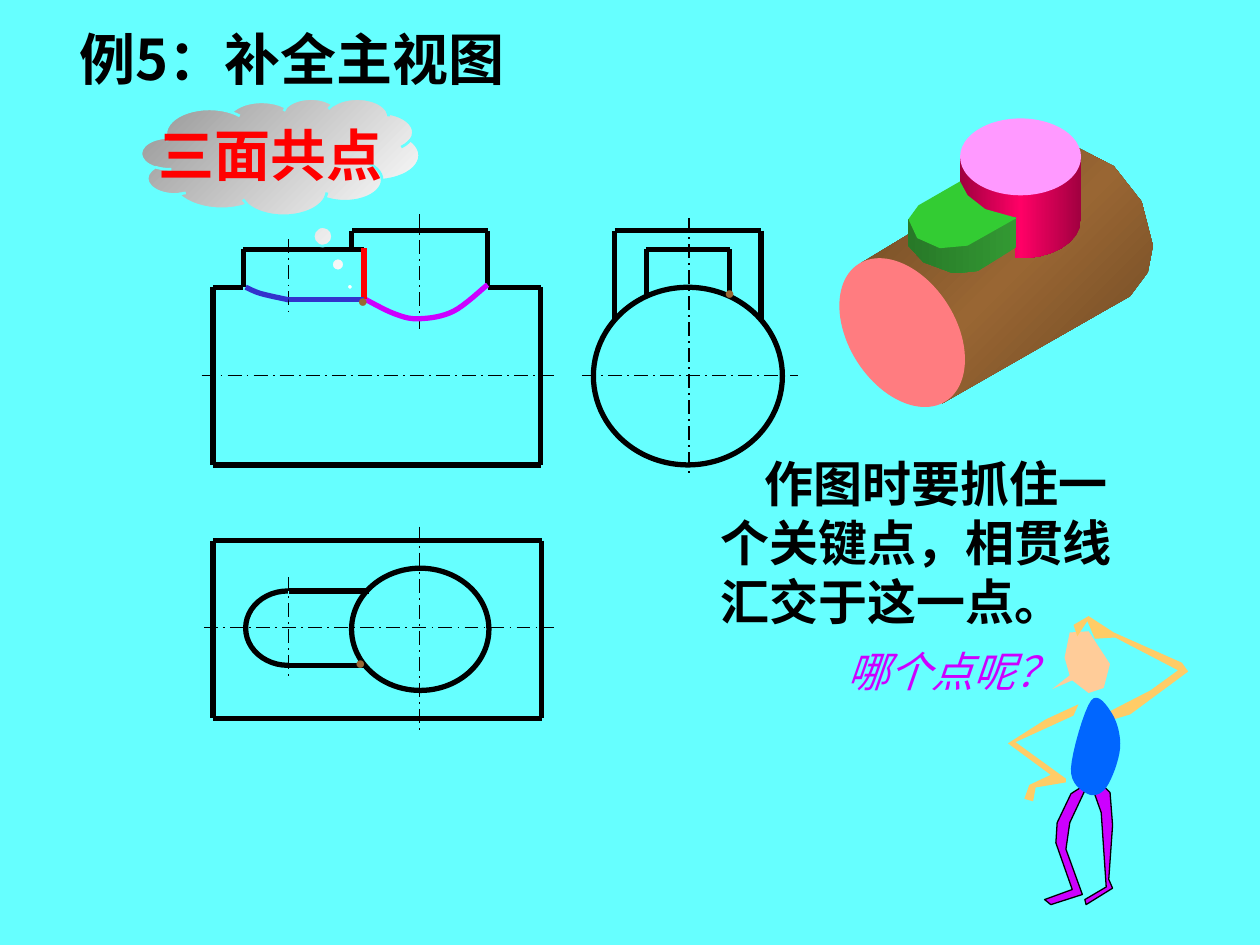
from copy import deepcopy
from dataclasses import dataclass
from math import cos, radians, sin

from lxml.etree import SubElement
from pptx import Presentation
from pptx.dml.color import RGBColor
from pptx.enum.dml import MSO_LINE
from pptx.enum.shapes import MSO_CONNECTOR, MSO_SHAPE
from pptx.enum.text import MSO_ANCHOR, MSO_AUTO_SIZE, PP_ALIGN
from pptx.oxml.ns import qn
from pptx.util import Pt

PX = 9144  # one px is a hundredth of an inch


@dataclass(frozen=True)
class Theme:
    sky: str = "66FFFF"
    ink: str = "000000"
    red: str = "FF0000"
    blue: str = "3333CC"
    purple: str = "CC00FF"
    brown: str = "996633"
    skin: str = "FFCC66"
    face: str = "FFCC99"
    shirt: str = "0066FF"
    cylinder_end: str = "FF7C80"
    boss_top: str = "FF99FF"
    slab_top: str = "33CC33"
    cloud: tuple = ("FFFFFF", "959595")
    boss_side: tuple = ("A10040", "FF0066", "A10040")
    cylinder_side: tuple = ("6B4723", "996633", "6B4723")
    slab_side: tuple = ("339933", "287928")
    cjk: str = "Noto Sans CJK SC"
    latin: str = "Times New Roman"
    heading: int = 32
    body: int = 28
    question: int = 24
    dot: int = 10
    thin: float = 1
    thick: float = 3


T = Theme()

# Three views
HORIZONTAL_AXES = [(298, 160, 441), (298, 462, 633), (498, 162, 440)]  # y, from x, to x
VERTICAL_AXES = [(547, 173, 377), (333, 418, 581), (333, 170, 261),
                 (229, 458, 540), (229, 190, 247)]  # x, from y, to y
TOP_FRAME = (169, 429, 430, 570)  # left, top, right, bottom
SIDE_FRAMES = [(488, 183, 604, 254), (513, 198, 579, 235)]
FRONT_OUTLINE = [(289, 198), (193, 198), (193, 228), (169, 228), (169, 369), (429, 369),
                 (429, 228), (387, 228), (387, 183), (279, 183), (279, 198)]
SLOT_SIDES = [[(229, 469), (293, 469)], [(229, 528), (290, 528)]]
CIRCLES = [(471, 228, 150, 141), (279, 451, 109, 97)]
CURVES = [(T.purple, [(387, 226), (360, 247), (333, 253), (313, 249), (287, 236)]),
          (T.blue, [(195, 228), (207, 233), (229, 238)])]
MEETING_LINES = [(T.red, [(289, 237), (289, 197)]), (T.blue, [(229, 238), (289, 238)])]
DOTS = [(274, 225), (272, 512), (565, 219)]

# Thinking figure: points, fill, line, smooth
FIGURE = [
    ([(830, 571), (856, 559), (852, 568), (806, 589), (846, 618), (846, 621), (822, 625),
      (820, 636), (813, 634), (817, 623), (834, 615), (800, 590)], T.skin, None, False),
    ([(868, 628), (873, 621), (881, 629), (883, 655), (880, 698), (883, 705), (862, 718),
      (861, 714), (878, 704), (874, 645)], T.purple, T.ink, False),
    ([(850, 630), (864, 621), (849, 653), (846, 674), (859, 710), (834, 718), (829, 714),
      (851, 706), (838, 669), (839, 653)], T.purple, T.ink, False),
    ([(864, 550), (876, 546), (881, 527), (864, 501), (849, 502), (845, 522), (849, 536),
      (835, 547), (851, 540)], T.face, None, False),
    ([(913, 548), (878, 566), (877, 573), (897, 567), (943, 533), (938, 526), (884, 502),
      (864, 489), (852, 496), (855, 505), (863, 493), (869, 507), (885, 506), (935, 532)],
     T.skin, None, False),
    ([(866, 556), (883, 567), (889, 594), (878, 625), (863, 630), (850, 610)],
     T.shirt, None, True)]


def arc(box, start, end, steps=8):
    """Points on the ellipse inside left, top, width, height."""
    left, top, width, height = box
    angles = [radians(start + (end - start) * i / steps) for i in range(steps + 1)]
    return [(left + width * (1 + cos(a)) / 2, top + height * (1 + sin(a)) / 2) for a in angles]


# Solid model: points, fill, gradient angle
BOSS_TOP = (762, 94, 96, 61)
END_FACE = (652, 222, 128, 84)
SOLID_SIDES = [
    ([(721, 186), (683, 209), (748, 320), (897, 235), (911, 216), (915, 195), (906, 160),
      (884, 132), (857, 118)], T.cylinder_side, 135),
    ([(858, 124)] + arc((762, 144, 96, 61), 0, 95)
     + [(806, 174), (784, 168), (762, 154), (762, 124)], T.boss_side, 180)]
SLAB = [
    ([(721, 174), (721, 195), (733, 208), (757, 217), (776, 215), (807, 196), (807, 172)],
     T.slab_side, 180),
    ([(762, 144), (729, 163), (721, 174), (728, 189), (746, 197), (768, 195), (807, 173),
      (782, 166), (768, 155)], T.slab_top, 0)]


def smooth_points(points, closed=False, steps=8):
    """Points on a soft curve that passes through every given point."""
    count = len(points)

    def pick(i):
        return points[i % count] if closed else points[min(max(i, 0), count - 1)]

    result = [points[0]]
    for i in range(count if closed else count - 1):
        for t in (step / steps for step in range(1, steps + 1)):
            result.append(tuple(
                b + t * (c - a) / 2 + t * t * (2 * a - 5 * b + 4 * c - d) / 2
                + t ** 3 * (3 * b - a - 3 * c + d) / 2
                for a, b, c, d in zip(*(pick(i + shift) for shift in (-1, 0, 1, 2)))))
    return result


def paint(shape, fill=None, line=None, width=0.75, angle=0):
    """Fill with nothing, one colour, or a tuple of gradient colours."""
    shape.shadow.inherit = False
    if fill is None:
        shape.fill.background()
    elif isinstance(fill, str):
        shape.fill.solid()
        shape.fill.fore_color.rgb = RGBColor.from_string(fill)
    else:
        shape.fill.gradient()
        shape.fill.gradient_angle = angle
        stop_list = next(shape._element.iter(qn("a:gsLst")))
        for _ in fill[2:]:
            stop_list.append(deepcopy(stop_list[-1]))
        for index, (stop, color) in enumerate(zip(shape.fill.gradient_stops, fill)):
            stop.position = index / (len(fill) - 1)
            stop.color.rgb = RGBColor.from_string(color)
    if line:
        shape.line.color.rgb = RGBColor.from_string(line)
        shape.line.width = Pt(width)
    else:
        shape.line.fill.background()


def add_preset(shapes, kind, box, **look):
    shape = shapes.add_shape(kind, *(value * PX for value in box))
    paint(shape, **look)
    return shape


def add_outline(shapes, points, close=True, **look):
    corners = [(round(x * PX), round(y * PX)) for x, y in points]
    builder = shapes.build_freeform(*corners[0], scale=1.0)
    builder.add_line_segments(corners[1:], close=close)
    paint(builder.convert_to_shape(), **look)


def add_lines(shapes, points, color=T.ink, width=T.thick, dashed=False):
    for start, end in zip(points, points[1:]):
        line = shapes.add_connector(MSO_CONNECTOR.STRAIGHT, *(v * PX for v in start + end))
        line.line.color.rgb = RGBColor.from_string(color)
        line.line.width = Pt(width)
        if dashed:
            line.line.dash_style = MSO_LINE.LONG_DASH_DOT
        SubElement(line._element.spPr, qn("a:effectLst"))


def write(shape, text, size, color, font=T.cjk, bold=False, wrap=False, align=PP_ALIGN.LEFT):
    frame = shape.text_frame
    frame.text = text
    frame.word_wrap = wrap
    frame.vertical_anchor = MSO_ANCHOR.MIDDLE
    para = frame.paragraphs[0]
    para.alignment = align
    span = para.runs[0]
    span.font.size, span.font.bold, span.font.name = Pt(size), bold, font
    span.font.color.rgb = RGBColor.from_string(color)
    SubElement(span._r.get_or_add_rPr(), qn("a:ea")).set("typeface", T.cjk)
    return para


def add_text(shapes, box, *content, grow=True, **look):
    shape = shapes.add_textbox(*(value * PX for value in box))
    para = write(shape, *content, **look)
    if grow:
        shape.text_frame.auto_size = MSO_AUTO_SIZE.SHAPE_TO_FIT_TEXT
    return para


deck = Presentation()
deck.slide_width, deck.slide_height = 1000 * PX, 750 * PX
page = deck.slides.add_slide(deck.slide_layouts[6])
page.background.fill.solid()
page.background.fill.fore_color.rgb = RGBColor.from_string(T.sky)

# Three views
views = page.shapes.add_group_shape().shapes
add_preset(views, MSO_SHAPE.OVAL, (195, 469, 67, 59), line=T.ink, width=T.thick)
add_preset(views, MSO_SHAPE.RECTANGLE, (229, 443, 42, 104), fill=T.sky, line=T.sky)
for circle in CIRCLES:
    add_preset(views, MSO_SHAPE.OVAL, circle, line=T.ink, width=T.thick)
axes = [[(x1, y), (x2, y)] for y, x1, x2 in HORIZONTAL_AXES]
axes += [[(x, y1), (x, y2)] for x, y1, y2 in VERTICAL_AXES]
for axis in axes:
    add_lines(views, axis, width=T.thin, dashed=True)
left, top, right, bottom = TOP_FRAME
add_lines(views, [(left, top), (right, top), (right, bottom), (left, bottom), (left, top)])
for left, top, right, bottom in SIDE_FRAMES:
    add_lines(views, [(left, bottom), (left, top), (right, top), (right, bottom)])
for points in [FRONT_OUTLINE, *SLOT_SIDES]:
    add_lines(views, points)
for color, points in CURVES:
    add_outline(views, smooth_points(points), close=False, line=color, width=T.thick)
for color, points in MEETING_LINES:
    add_lines(views, points, color)

# Title, key points and advice
add_text(page.shapes, (53, 14, 379, 64), "例5：补全主视图", T.heading, T.ink, bold=True)
for left, top in DOTS:
    add_text(page.shapes, (left, top, 28, 27), "●", T.dot, T.brown,
             font=T.latin, align=PP_ALIGN.CENTER)
advice = add_text(page.shapes, (562, 355, 353, 150),
                  "作图时要抓住一个关键点，相贯线汇交于这一点。",
                  T.body, T.ink, bold=True, wrap=True)
advice.line_spacing = Pt(33.6)
advice._p.get_or_add_pPr().set("indent", str(35 * PX))

# Thinking figure and its question
figure = page.shapes.add_group_shape().shapes
for points, fill, line, smooth in FIGURE:
    outline = smooth_points(points, closed=True) if smooth else points
    add_outline(figure, outline, fill=fill, line=line)
question = add_text(figure, (663, 512, 162, 41), "哪个点呢？", T.question, T.purple, grow=False)
question.runs[0].font.italic = True
properties = question.runs[0]._r.get_or_add_rPr()
stroke = SubElement(properties, qn("a:ln"), w=str(Pt(0.75)))
SubElement(SubElement(stroke, qn("a:solidFill")), qn("a:srgbClr"), val=T.red)
properties.insert(0, stroke)

# Thought cloud
cloud = add_preset(page.shapes, MSO_SHAPE.CLOUD_CALLOUT, (112, 78, 221, 93),
                   fill=T.cloud, angle=135, line=T.sky, width=1.5)
cloud.adjustments[0], cloud.adjustments[1] = 0.25, 1.11
write(cloud, "三面共点", T.heading, T.red, font=T.latin, bold=True, align=PP_ALIGN.CENTER)

# Solid model
solid = page.shapes.add_group_shape().shapes
for points, fill, angle in SOLID_SIDES:
    add_outline(solid, points, fill=fill, angle=angle)
end_face = add_preset(solid, MSO_SHAPE.OVAL, END_FACE, fill=T.cylinder_end, line=T.cylinder_end)
end_face.rotation = 57.6
add_preset(solid, MSO_SHAPE.OVAL, BOSS_TOP, fill=T.boss_top)
for points, fill, angle in SLAB:
    add_outline(solid, points, fill=fill, angle=angle)

deck.save("out.pptx")
